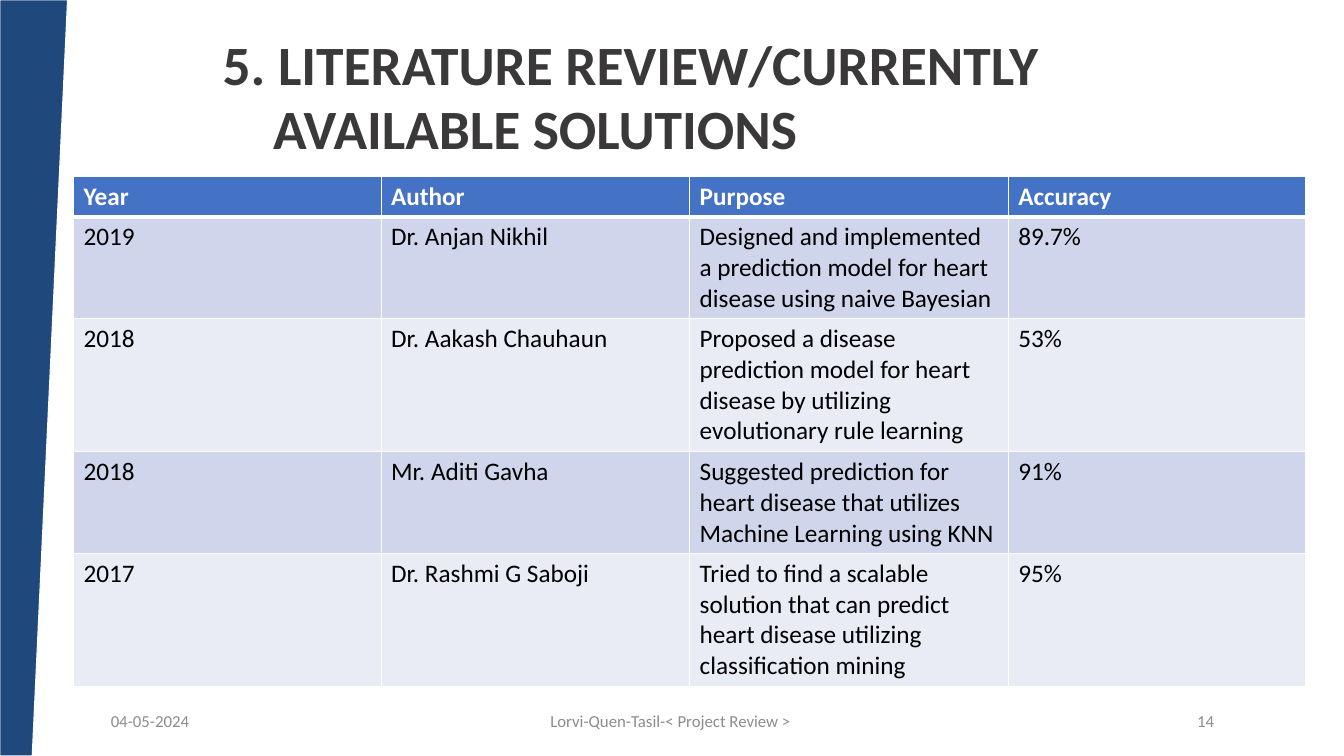
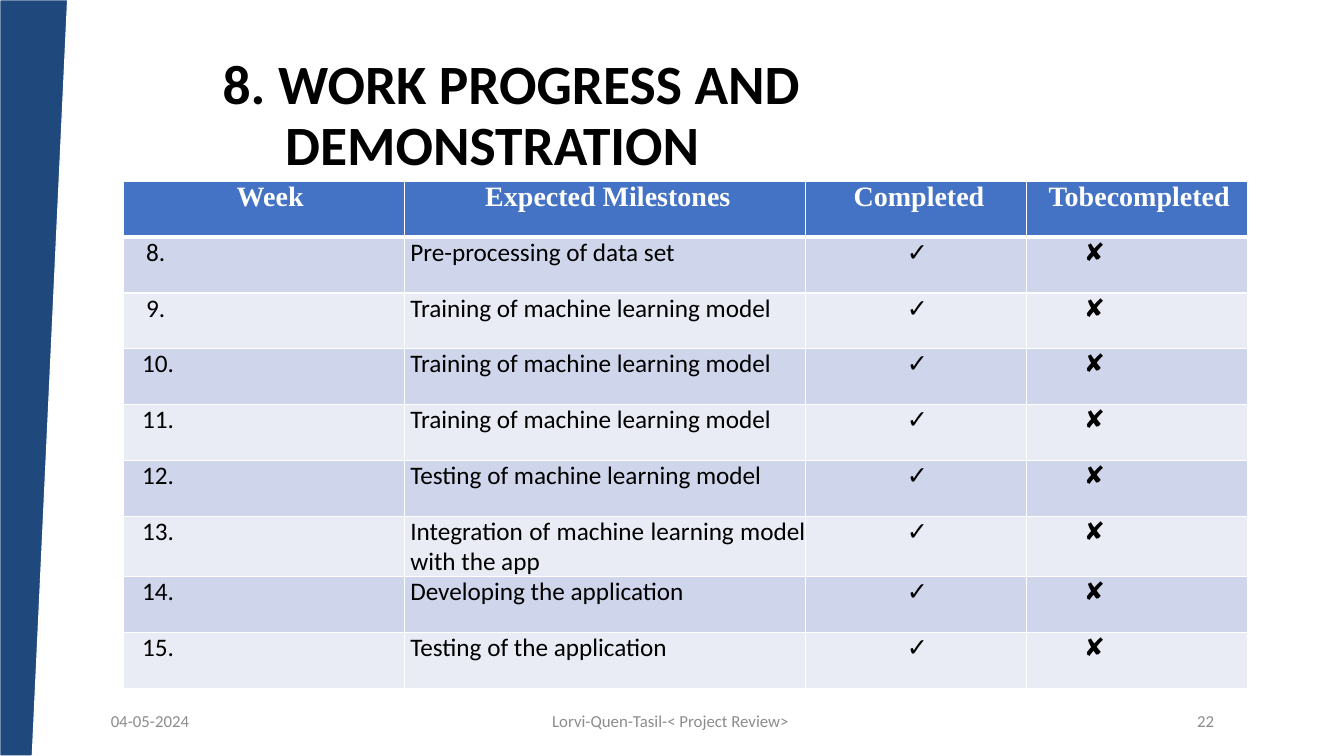
from pptx import Presentation
from pptx.dml.color import RGBColor
from pptx.enum.text import MSO_ANCHOR, PP_ALIGN
from pptx.oxml.ns import qn
from pptx.util import Inches, Pt
from lxml.etree import SubElement

NAVY = RGBColor(0x1F, 0x49, 0x7D)
BLUE = RGBColor(0x44, 0x72, 0xC4)
LILAC = RGBColor(0xCF, 0xD5, 0xEA)
PALE = RGBColor(0xE9, 0xEB, 0xF5)
WHITE = RGBColor(0xFF, 0xFF, 0xFF)
BLACK = RGBColor(0, 0, 0)
CHAR = RGBColor(0x3A, 0x38, 0x38)
GRAY = RGBColor(0x8C, 0x8C, 0x8C)

SANS = "Calibri"
SERIF = "Times New Roman"
DATE = "04-05-2024"
LEFT, MID, RIGHT, FULL = PP_ALIGN.LEFT, PP_ALIGN.CENTER, PP_ALIGN.RIGHT, PP_ALIGN.JUSTIFY

PAPERS = [
    ("Year", "Author", "Purpose", "Accuracy"),
    ("2019", "Dr. Anjan Nikhil",
     "Designed and implemented a prediction model for heart disease using naive Bayesian",
     "89.7%"),
    ("2018", "Dr. Aakash Chauhaun",
     "Proposed a disease prediction model for heart disease by utilizing "
     "evolutionary rule learning", "53%"),
    ("2018", "Mr. Aditi Gavha",
     "Suggested prediction for heart disease that utilizes Machine Learning using KNN",
     "91%"),
    ("2017", "Dr. Rashmi G Saboji",
     "Tried to find a scalable solution that can predict heart disease utilizing "
     "classification mining", "95%"),
]
TASKS = [
    "Pre-processing of data set",
    "Training of machine learning model",
    "Training of machine learning model",
    "Training of machine learning model",
    "Testing of machine learning model",
    "Integration of machine learning model with the app",
    "Developing the application",
    "Testing of the application",
]
FIRST_WEEK = 8


def add_run(para, text, size, color, bold=False, face=SANS):
    run = para.add_run()
    run.text = text
    font = run.font
    font.name, font.size, font.bold = face, Pt(size), bold
    font.color.rgb = color


def set_margin(para, inches):
    props = para._p.get_or_add_pPr()
    props.set("marL", str(Inches(inches)))
    props.set("indent", "0")


def add_box(slide, left, top, width, height, anchor):
    box = slide.shapes.add_textbox(Inches(left), Inches(top), Inches(width), Inches(height))
    frame = box.text_frame
    frame.word_wrap = True
    frame.vertical_anchor = anchor
    return frame


def add_band(slide):
    pen = slide.shapes.build_freeform(Inches(0.67), 0)
    pen.add_line_segments([(0, 0), (0, Inches(7.5)), (Inches(0.32), Inches(7.5))])
    band = pen.convert_to_shape()
    band.shadow.inherit = False
    band.fill.solid()
    band.fill.fore_color.rgb = NAVY
    band.line.color.rgb = WHITE
    band.line.width = Pt(0.75)


def add_title(slide, lines, top, color, pitch, inset):
    frame = add_box(slide, 2.11, top, 10.03, 1.4, MSO_ANCHOR.TOP)
    for row, text in enumerate(lines):
        para = frame.add_paragraph() if row else frame.paragraphs[0]
        para.line_spacing = Pt(pitch)
        set_margin(para, inset * row)
        add_run(para, text, 39.6, color, bold=True)


def add_foot(slide, note, page):
    parts = [(1, 2.92, DATE, LEFT), (4.42, 4.5, note, MID), (9.42, 2.72, page, RIGHT)]
    for left, width, text, align in parts:
        para = add_box(slide, left, 6.95, width, 0.4, MSO_ANCHOR.MIDDLE).paragraphs[0]
        para.alignment = align
        add_run(para, text, 12, GRAY)


def add_edge(cell, side, width):
    edge = SubElement(cell._tc.get_or_add_tcPr(), qn("a:ln" + side), w=str(Pt(width)))
    fill = SubElement(edge, qn("a:solidFill"))
    SubElement(fill, qn("a:srgbClr"), val=str(WHITE))


def style_cell(cell, row):
    for side in "LRTB":
        thick = (row, side) in ((0, "B"), (1, "T"))
        add_edge(cell, side, 3 if thick else 1)
    cell.fill.solid()
    cell.fill.fore_color.rgb = BLUE if row == 0 else LILAC if row % 2 else PALE


def add_grid(slide, left, top, widths, heights):
    frame = slide.shapes.add_table(len(heights), len(widths), Inches(left), Inches(top),
                                   Inches(sum(widths)), Inches(sum(heights)))
    table = frame.table
    table.horz_banding = False
    for col, width in zip(table.columns, widths):
        col.width = Inches(width)
    for row, height in enumerate(heights):
        table.rows[row].height = Inches(height)
        for cell in table.rows[row].cells:
            style_cell(cell, row)
    return table


def fill_cell(cell, text, head, size=18, face=SANS):
    para = cell.text_frame.paragraphs[0]
    add_run(para, text, size, WHITE if head else BLACK, head, face)
    return para


def fill_tight(cell, text, head, align, inset):
    cell.margin_left = cell.margin_right = cell.margin_top = cell.margin_bottom = 0
    size, face = (20, SERIF) if head else (18, SANS)
    para = fill_cell(cell, text, head, size, face)
    para.alignment = align
    para.space_before = Pt(5.6 if head else 5)
    set_margin(para, inset)


def add_papers(slide):
    table = add_grid(slide, 0.73, 1.75, [3.05, 3.06, 3.16, 2.95],
                     [0.4, 1.01, 1.32, 1.01, 1.32])
    for row, texts in enumerate(PAPERS):
        for col, text in enumerate(texts):
            fill_cell(table.cell(row, col), text, row == 0)


def add_weeks(slide):
    table = add_grid(slide, 1.22, 1.8, [2.79, 3.98, 2.19, 2.19],
                     [4.43 / 8] * (len(TASKS) + 1))
    heads = [("Week", 0.13), ("Expected Milestones", 0.06),
             ("Completed", 0.06), ("Tobecompleted", 0.05)]
    for col, (text, inset) in enumerate(heads):
        fill_tight(table.cell(0, col), text, True, MID, inset)
    for row, task in enumerate(TASKS, 1):
        week = FIRST_WEEK + row - 1
        cells = [(f"{week}.", FULL, 0.23 if week < 10 else 0.19), (task, FULL, 0.06),
                 ("✓", MID, 0.03), ("✘", FULL, 0.57)]
        for col, (text, align, inset) in enumerate(cells):
            fill_tight(table.cell(row, col), text, False, align, inset)


def add_slide(deck, note, page):
    slide = deck.slides.add_slide(deck.slide_layouts[6])
    add_band(slide)
    add_foot(slide, note, page)
    return slide


def main():
    deck = Presentation()
    deck.slide_width, deck.slide_height = Inches(13.33), Inches(7.5)

    slide = add_slide(deck, "Lorvi-Quen-Tasil-< Project Review > ", "14")
    add_title(slide, ["5. LITERATURE REVIEW/CURRENTLY", "AVAILABLE SOLUTIONS"],
              0.28, CHAR, 45.6, 0.5)
    add_papers(slide)

    slide = add_slide(deck, "Lorvi-Quen-Tasil-< Project Review> ", "22")
    add_title(slide, ["8. WORK PROGRESS AND", "DEMONSTRATION"], 0.49, BLACK, 43.5, 0.62)
    add_weeks(slide)

    deck.save("out.pptx")


if __name__ == "__main__":
    main()
